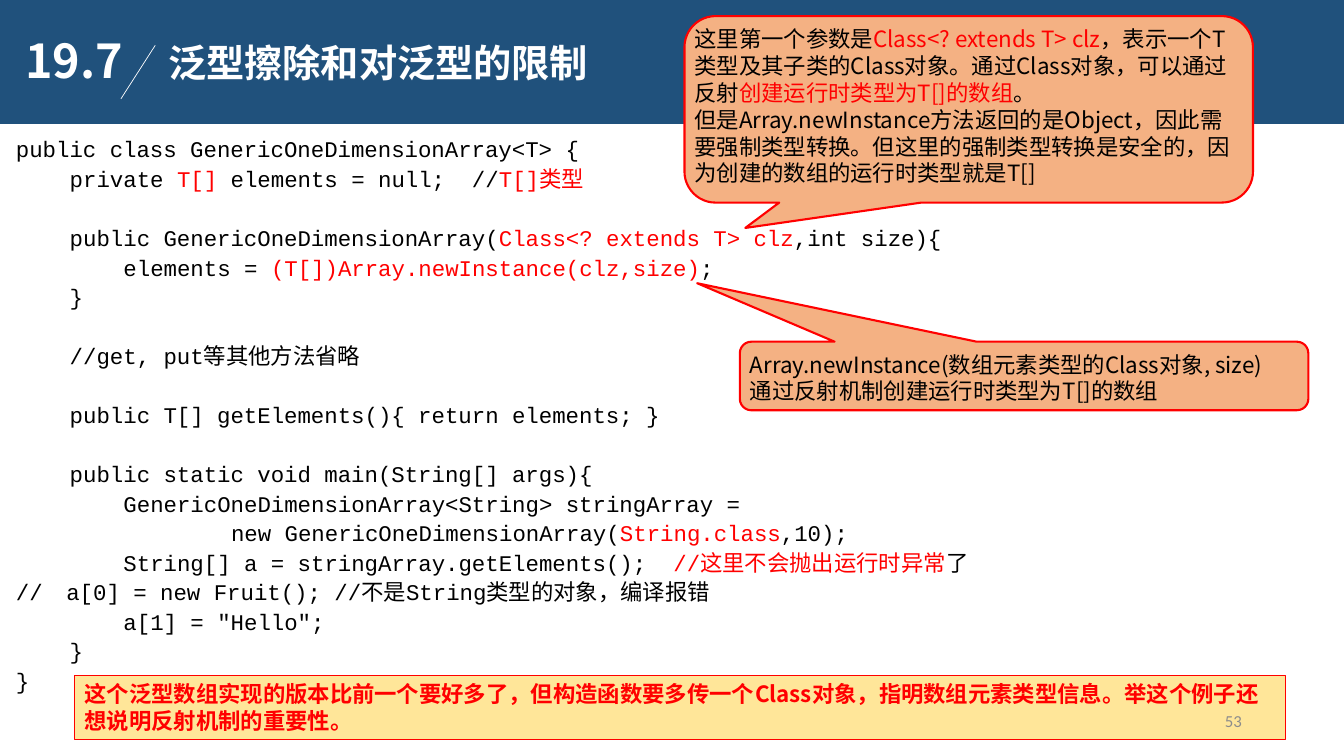
from pptx import Presentation
from pptx.dml.color import RGBColor
from pptx.enum.shapes import MSO_CONNECTOR, MSO_SHAPE
from pptx.enum.text import MSO_ANCHOR, PP_ALIGN
from pptx.oxml.ns import qn
from pptx.util import Inches, Pt
from lxml.etree import SubElement

# Grid of 100 columns and 100 rows
WIDTH, HEIGHT = Inches(13.33), Inches(7.5)
COL, ROW = WIDTH / 100, HEIGHT / 100

SANS, JAPAN, MONO = "Noto Sans CJK SC", "Noto Sans CJK JP", "Courier New"
BLUE, RED, BLACK, WHITE = "20517C", "FF0000", "000000", "FFFFFF"
PEACH, CREAM, GRAY = "F4B183", "FFE699", "8C8C8C"

CHAR = Pt(9.6)    # width of one code letter
PITCH = Pt(21.1)  # height of one code line

# Text between bars is red; a line with gap True stands one line lower
CODE = [
    # gap, indent in letters, text
    (False, 0, "public class GenericOneDimensionArray<T> {"),
    (False, 4, "private |T[] |elements = null;  //|T[]类型"),
    (True, 4, "public GenericOneDimensionArray(|Class<? extends T> clz|,int size){"),
    (False, 8, "elements = |(T[])Array.newInstance(clz,size)|;"),
    (False, 4, "}"),
    (True, 4, "//get, put等其他方法省略"),
    (True, 4, "public T[] getElements(){ return elements; }"),
    (True, 4, "public static void main(String[] args){"),
    (False, 8, "GenericOneDimensionArray<String> stringArray ="),
    (False, 16, "new GenericOneDimensionArray(|String.class|,10);"),
    (False, 8, "String[] a = stringArray.getElements();  |//这里不会抛出运行时异常|了"),
    (False, 0, "//\ta[0] = new Fruit(); //不是String类型的对象，编译报错"),
    (False, 8, 'a[1] = "Hello";'),
    (False, 4, "}"),
    (False, 0, "}"),
]
CLASS_TIP = [
    "这里第一个参数是|Class<? extends T> clz|，表示一个T类型及其子类的Class对象。"
    "通过Class对象，可以通过反射|创建运行时类型为T[]的数组|。",
    "但是Array.newInstance方法返回的是Object，因此需要强制类型转换。"
    "但这里的强制类型转换是安全的，因为创建的数组的运行时类型就是T[]",
]
ARRAY_TIP = [
    "Array.newInstance(数组元素类型的Class对象, size)",
    "通过反射机制创建运行时类型为T[]的数组",
]
NOTE = ("这个泛型数组实现的版本比前一个要好多了，但构造函数要多传一个Class对象，"
        "指明数组元素类型信息。举这个例子还想说明反射机制的重要性。")


def color(code):
    return RGBColor.from_string(code)


def place(left, top, width, height):
    return (round(left * COL), round(top * ROW),
            round(width * COL), round(height * ROW))


def style(run, size, font, ink, bold=False, asian=None):
    run.font.size, run.font.name, run.font.bold = Pt(size), font, bold
    run.font.color.rgb = color(ink)
    SubElement(run.font._element, qn("a:ea"), typeface=asian or font)


def write(frame, lines, size, font, ink, bold=False, asian=None):
    """Fill a frame; every second part of a line is red."""
    frame.word_wrap = True
    frame.text = "\n".join(line.replace("|", "") for line in lines)
    for para, line in zip(frame.paragraphs, lines):
        para.text = ""
        for order, part in enumerate(line.split("|")):
            run = para.add_run()
            run.text = part
            style(run, size, font, RED if order % 2 else ink, bold, asian)


def add_text(slide, box, lines, *look):
    frame = slide.shapes.add_textbox(*place(*box)).text_frame
    write(frame, lines, *look)
    return frame


def add_box(slide, kind, box, fill, edge=None, weight=1.0):
    shape = slide.shapes.add_shape(kind, *place(*box))
    shape.shadow.inherit = False
    shape.fill.solid()
    shape.fill.fore_color.rgb = color(fill)
    if edge:
        shape.line.color.rgb = color(edge)
        shape.line.width = Pt(weight)
    else:
        shape.line.fill.background()
    return shape


def add_tip(slide, left, top, height, tail, lines):
    """Draw a callout with its text."""
    tip = add_box(slide, MSO_SHAPE.ROUNDED_RECTANGULAR_CALLOUT,
                  (left, top, 42.3, height), PEACH, RED, 1.5)
    tip.adjustments[0], tip.adjustments[1] = tail
    add_text(slide, (left, top + 0.54, 41.7, height - 0.54),
             lines, 16, JAPAN, BLACK)


def add_head(slide):
    add_box(slide, MSO_SHAPE.RECTANGLE, (0, 0, 100, 16.4), BLUE)
    slash = slide.shapes.add_connector(
        MSO_CONNECTOR.STRAIGHT, round(11.55 * COL), round(6 * ROW),
        round(9 * COL), round(13.07 * ROW))
    slash.line.color.rgb = color(WHITE)
    slash.line.width = Pt(0.5)
    SubElement(slash._element.spPr, qn("a:effectLst"))

    # Title goes in front of the band
    title = slide.shapes.title
    slide.shapes._spTree.append(title._element)
    title.left, title.top, title.width, title.height = place(11.78, 5.07, 60.68, 7.2)
    write(title.text_frame, ["泛型擦除和对泛型的限制"], 27.3, SANS, WHITE, True)
    number = add_text(slide, (1.13, 5.07, 8.78, 7.2), ["19.7"],
                      33.3, SANS, WHITE, True)
    for frame, space in ((title.text_frame, 0.9), (number, 0.8)):
        frame.vertical_anchor = MSO_ANCHOR.MIDDLE
        frame.paragraphs[0].alignment = PP_ALIGN.LEFT
        frame.paragraphs[0].line_spacing = space


def add_code(slide):
    frame = add_text(slide, (0.45, 16.93, 96.83, 76.27),
                     [text for _, _, text in CODE], 16, MONO, BLACK, False, JAPAN)
    for para, (gap, indent, text) in zip(frame.paragraphs, CODE):
        para.line_spacing = 1.1
        para.space_before = PITCH if gap else Pt(0)
        props = para._p.get_or_add_pPr()
        props.set("marL", str(indent * CHAR))
        props.set("indent", "0")
        if "\t" in text:
            tabs = SubElement(props, qn("a:tabLst"))
            SubElement(tabs, qn("a:tab"), pos=str(10 * CHAR), algn="l")


def main():
    deck = Presentation()
    deck.slide_width, deck.slide_height = WIDTH, HEIGHT
    slide = deck.slides.add_slide(deck.slide_layouts[5])

    # Heading and code
    add_head(slide)
    add_code(slide)

    # Callouts
    add_tip(slide, 50.93, 2.13, 24.67, (-0.393, 0.636), CLASS_TIP)
    add_tip(slide, 55.05, 45.2, 9.07, (-0.575, -1.353), ARRAY_TIP)

    # Closing note and page number
    note = add_box(slide, MSO_SHAPE.RECTANGLE, (5.55, 89.33, 90.08, 8.53),
                   CREAM, RED, 0.75)
    write(note.text_frame, [NOTE], 16, SANS, RED, True)
    note.text_frame.vertical_anchor = MSO_ANCHOR.TOP
    note.text_frame.paragraphs[0].alignment = PP_ALIGN.LEFT
    page = add_text(slide, (70.65, 92.67, 22.5, 5.33), ["53"], 12, "Calibri", GRAY)
    page.vertical_anchor = MSO_ANCHOR.MIDDLE
    page.paragraphs[0].alignment = PP_ALIGN.RIGHT

    deck.save("out.pptx")


if __name__ == "__main__":
    main()
